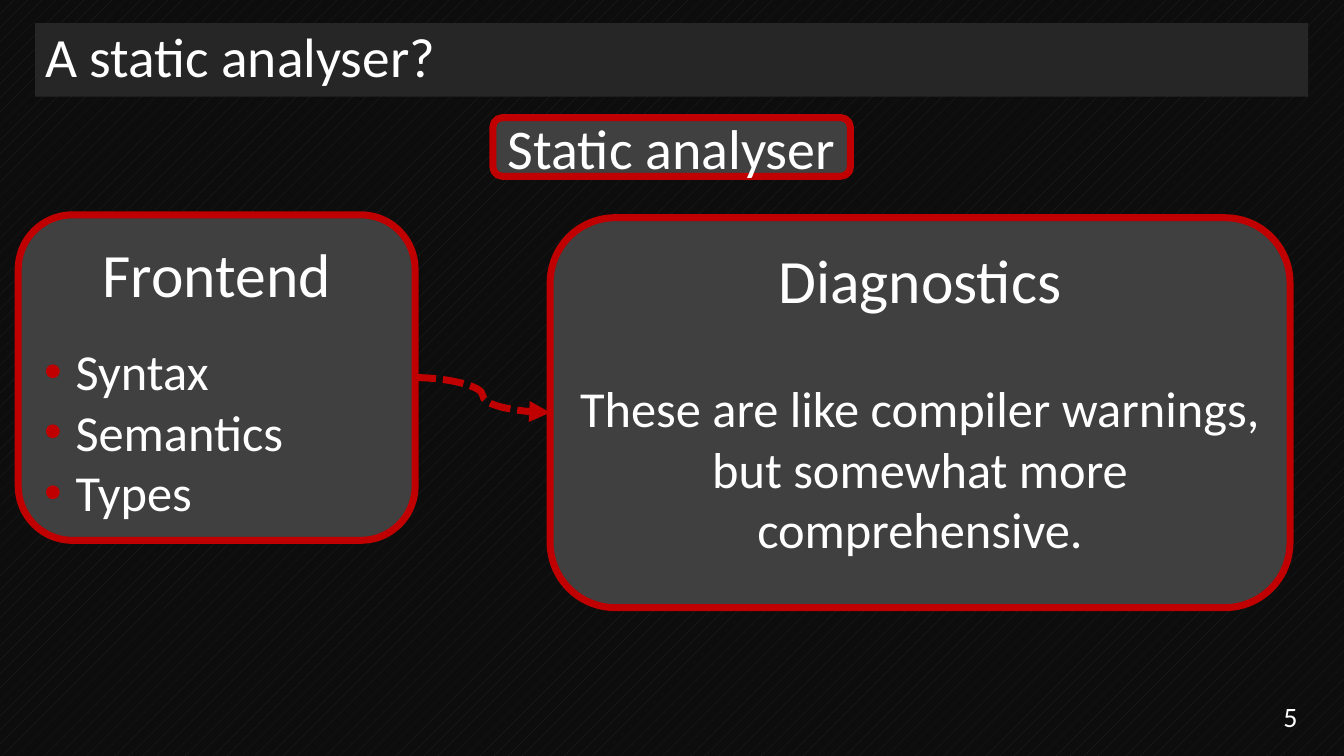
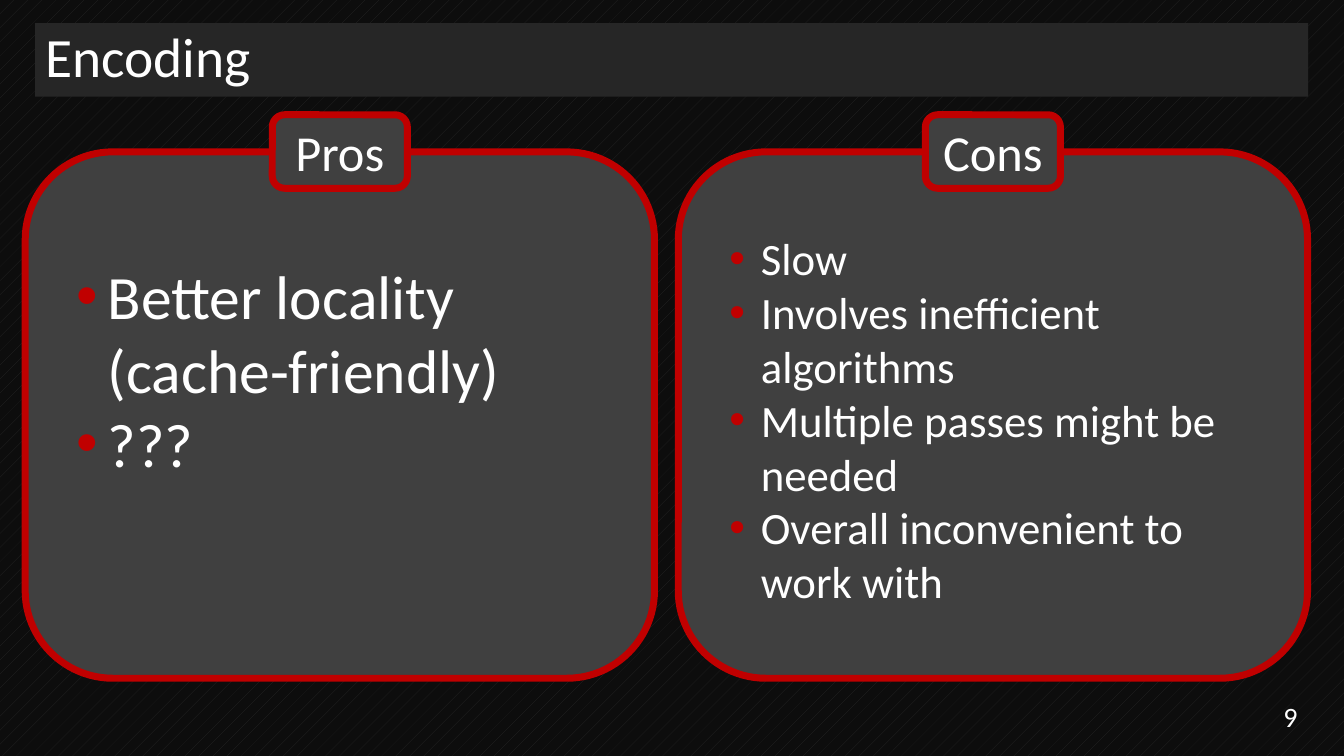
from lxml import etree
from pptx import Presentation
from pptx.dml.color import RGBColor
from pptx.enum.dml import MSO_LINE, MSO_PATTERN
from pptx.enum.shapes import MSO_CONNECTOR, MSO_SHAPE
from pptx.enum.text import MSO_ANCHOR, MSO_AUTO_SIZE, PP_ALIGN
from pptx.oxml.ns import qn
from pptx.util import Pt

ROUNDED = MSO_SHAPE.ROUNDED_RECTANGLE
CURVE = MSO_CONNECTOR.CURVE
DASH = MSO_LINE.SQUARE_DOT
DOTTED_PATTERN = MSO_PATTERN.PERCENT_5
TOP, MIDDLE = MSO_ANCHOR.TOP, MSO_ANCHOR.MIDDLE
LEFT, CENTER, RIGHT = PP_ALIGN.LEFT, PP_ALIGN.CENTER, PP_ALIGN.RIGHT
NO_FIT = MSO_AUTO_SIZE.NONE

FONT = "Calibri"
COLORS = {
    name: RGBColor.from_string(value)
    for name, value in {
        "backdrop": "0D0D0D",
        "band": "262626",
        "card": "404040",
        "accent": "C00000",
        "text": "FFFFFF",
    }.items()
}
LINE_WIDTH = Pt(5)
BULLET_INDENT = Pt(22.5)


def write(box, lines, anchor=MIDDLE):
    frame = box.text_frame
    frame.word_wrap = True
    frame.auto_size = NO_FIT
    frame.vertical_anchor = anchor
    frame.text = "\n".join(text for text, size, align, bulleted in lines)
    for para, (text, size, align, bulleted) in zip(frame.paragraphs, lines):
        para.alignment = align
        para.space_before = Pt(0)
        for span in para.runs:
            span.font.name = FONT
            span.font.size = Pt(size)
            span.font.color.rgb = COLORS["text"]
        if bulleted:
            props = para._p.get_or_add_pPr()
            props.set("marL", str(BULLET_INDENT))
            props.set("indent", str(-BULLET_INDENT))
            bullet_color = etree.SubElement(props, qn("a:buClr"))
            etree.SubElement(bullet_color, qn("a:srgbClr"), val=str(COLORS["accent"]))
            etree.SubElement(props, qn("a:buFont"), typeface="Arial")
            etree.SubElement(props, qn("a:buChar"), char="•")


def add_card(page, left, top, width, height):
    card = page.shapes.add_shape(ROUNDED, Pt(left), Pt(top), Pt(width), Pt(height))
    card.shadow.inherit = False
    card.fill.solid()
    card.fill.fore_color.rgb = COLORS["card"]
    card.line.color.rgb = COLORS["accent"]
    card.line.width = LINE_WIDTH
    return card


deck = Presentation()
deck.slide_width, deck.slide_height = Pt(960), Pt(540)

backdrop = deck.slide_master.background.fill
backdrop.patterned()
backdrop.pattern = DOTTED_PATTERN
backdrop.fore_color.rgb = COLORS["band"]
backdrop.back_color.rgb = COLORS["backdrop"]

TITLE_ONLY, TWO_CONTENT = deck.slide_layouts[5], deck.slide_layouts[3]
pages = []
for layout, heading, number in [
    (TITLE_ONLY, "A static analyser?", "5"),
    (TWO_CONTENT, "Encoding", "9"),
]:
    page = deck.slides.add_slide(layout)
    title = page.shapes.title
    title.left, title.top = Pt(25), Pt(16.5)
    title.width, title.height = Pt(909.5), Pt(52.5)
    title.fill.solid()
    title.fill.fore_color.rgb = COLORS["band"]
    write(title, [(heading, 39.6, LEFT, False)])
    title.text_frame.paragraphs[0].line_spacing = 0.9
    number_box = page.shapes.add_textbox(Pt(852.5), Pt(497), Pt(81.5), Pt(29))
    write(number_box, [(number, 20, RIGHT, False)])
    pages.append(page)

analyser_page, encoding_page = pages

frontend = add_card(analyser_page, 13, 153.5, 283.5, 232.5)
frontend_lines = [("Frontend", 44, CENTER, False)]
frontend_lines += [(item, 36, LEFT, True) for item in ("Syntax", "Semantics", "Types")]
write(frontend, frontend_lines, TOP)
frontend.text_frame.paragraphs[0].space_after = Pt(22)

analyser = add_card(analyser_page, 352, 84, 255.5, 42)
write(analyser, [("Static analyser", 40, CENTER, False)])

diagnostics = add_card(analyser_page, 393, 155.5, 528.5, 278.5)
write(
    diagnostics,
    [
        ("Diagnostics", 44, CENTER, False),
        (
            "These are like compiler warnings, but somewhat more comprehensive.",
            36,
            CENTER,
            False,
        ),
    ],
    TOP,
)
diagnostics.text_frame.paragraphs[0].space_after = Pt(44)

arrow = analyser_page.shapes.add_connector(CURVE, 0, 0, 0, 0)
arrow.begin_connect(frontend, 3)
arrow.end_connect(diagnostics, 1)
arrow.line.color.rgb = COLORS["accent"]
arrow.line.width = LINE_WIDTH
arrow.line.dash_style = DASH
arrow_props = arrow._element.spPr
etree.SubElement(arrow_props.find(qn("a:ln")), qn("a:tailEnd"), type="triangle")
etree.SubElement(arrow_props, qn("a:effectLst"))

CARD_WIDTH, TAG_WIDTH, LIST_WIDTH = 449.5, 96.5, 391
columns = [
    ("Pros", 18, 180.5, 178.5, 44, ["Better locality (cache-friendly)", "???"]),
    (
        "Cons",
        484.5,
        161.5,
        291.5,
        32,
        [
            "Slow",
            "Involves inefficient algorithms",
            "Multiple passes might be needed",
            "Overall inconvenient to work with",
        ],
    ),
]
for index, (label, left, list_top, list_height, size, items) in enumerate(columns, 1):
    add_card(encoding_page, left, 108.5, CARD_WIDTH, 376)
    tag = add_card(encoding_page, left + (CARD_WIDTH - TAG_WIDTH) / 2, 82, TAG_WIDTH, 52.5)
    write(tag, [(label, 36, CENTER, False)])
    body = encoding_page.placeholders[index]
    body.left, body.top = Pt(left + (CARD_WIDTH - LIST_WIDTH) / 2), Pt(list_top)
    body.width, body.height = Pt(LIST_WIDTH), Pt(list_height)
    write(body, [(item, size, LEFT, True) for item in items], TOP)
    tag._element.addnext(body._element)

deck.save("out.pptx")
